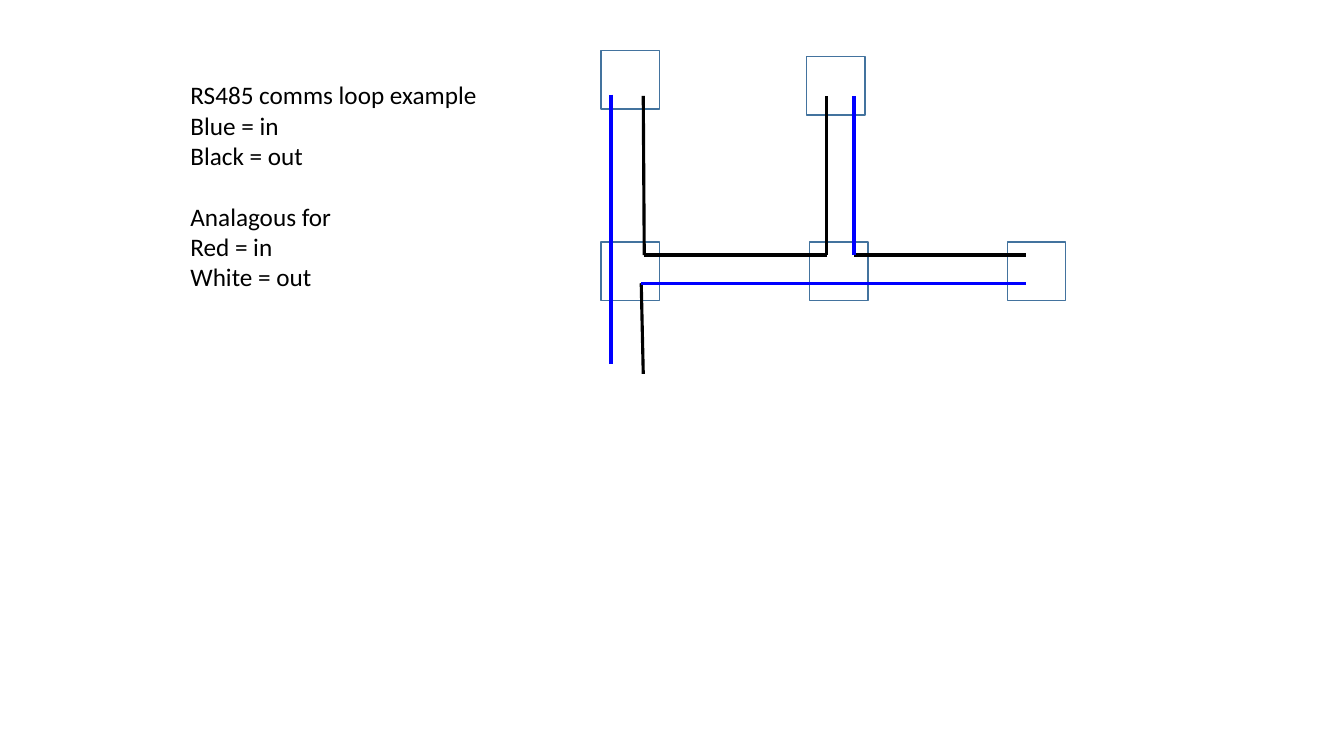
from dataclasses import dataclass

from lxml.etree import SubElement
from pptx import Presentation
from pptx.dml.color import RGBColor
from pptx.enum.shapes import MSO_CONNECTOR as Connector, MSO_SHAPE as Preset
from pptx.enum.text import MSO_AUTO_SIZE as AutoSize, PP_ALIGN as Align
from pptx.oxml.ns import qn
from pptx.slide import Slide
from pptx.util import Inches, Pt

BLACK = RGBColor(0x00, 0x00, 0x00)
BLUE = RGBColor(0x00, 0x00, 0xFF)
OUTLINE = RGBColor(0x43, 0x73, 0x9E)
DEVICE_SIZE = 0.58
ROW_Y = 2.4
OUT_Y = 2.53
IN_Y = 2.81
TOP_Y = 0.95
LINE_HEIGHT = 1.22


@dataclass(frozen=True)
class Device:
    left: float
    top: float


@dataclass(frozen=True)
class Wire:
    x1: float
    y1: float
    x2: float
    y2: float
    color: RGBColor


DEVICES = [
    Device(5.96, 0.5),
    Device(5.96, ROW_Y),
    Device(8.03, ROW_Y),
    Device(8, 0.56),
    Device(9.99, ROW_Y),
]

WIRES = [
    Wire(6.06, 0.94, 6.06, 3.61, BLUE),
    Wire(6.36, IN_Y, 6.38, 3.71, BLACK),
    Wire(6.38, TOP_Y, 6.39, OUT_Y, BLACK),
    Wire(6.36, IN_Y, 10.18, IN_Y, BLUE),
    Wire(6.39, OUT_Y, 8.2, OUT_Y, BLACK),
    Wire(8.47, OUT_Y, 10.18, OUT_Y, BLACK),
    Wire(8.2, OUT_Y, 8.2, TOP_Y, BLACK),
    Wire(8.47, OUT_Y, 8.47, TOP_Y, BLUE),
]

LEGEND = [
    ["RS485 comms loop example", "Blue = in", "Black = out"],
    ["Analagous for", "Red = in", "White = out"],
]


def add_text(page: Slide, groups: list[list[str]], *, left: float, top: float,
             width: float, height: float, size: float = 18,
             font: str = "Calibri", color: RGBColor = BLACK) -> None:
    box = page.shapes.add_textbox(
        Inches(left), Inches(top), Inches(width), Inches(height))
    frame = box.text_frame
    frame.word_wrap = False
    frame.auto_size = AutoSize.SHAPE_TO_FIT_TEXT
    para = frame.paragraphs[0]
    for group_index, group in enumerate(groups):
        for line_index, text in enumerate(group):
            if group_index or line_index:
                para = frame.add_paragraph()
            para.alignment = Align.LEFT
            if group_index and not line_index:
                para.space_before = Pt(size * LINE_HEIGHT)
            span = para.add_run()
            span.text = text
            span.font.name = font
            span.font.size = Pt(size)
            span.font.color.rgb = color


def add_device(page: Slide, device: Device) -> None:
    square = page.shapes.add_shape(
        Preset.RECTANGLE, Inches(device.left), Inches(device.top),
        Inches(DEVICE_SIZE), Inches(DEVICE_SIZE))
    square.shadow.inherit = False
    square.fill.background()
    square.line.color.rgb = OUTLINE
    square.line.width = Pt(1)


def add_wire(page: Slide, wire: Wire) -> None:
    connector = page.shapes.add_connector(
        Connector.STRAIGHT, Inches(wire.x1), Inches(wire.y1),
        Inches(wire.x2), Inches(wire.y2))
    connector.line.color.rgb = wire.color
    connector.line.width = Pt(2.25)
    SubElement(connector._element.spPr, qn("a:effectLst"))


def main() -> None:
    deck = Presentation()
    deck.slide_width = Inches(13.33)
    deck.slide_height = Inches(7.5)
    page = deck.slides.add_slide(deck.slide_layouts[6])
    add_text(page, LEGEND, left=1.79, top=0.74, width=3.07, height=2.22)
    for device in DEVICES:
        add_device(page, device)
    for wire in WIRES:
        add_wire(page, wire)
    deck.save("out.pptx")


if __name__ == "__main__":
    main()
